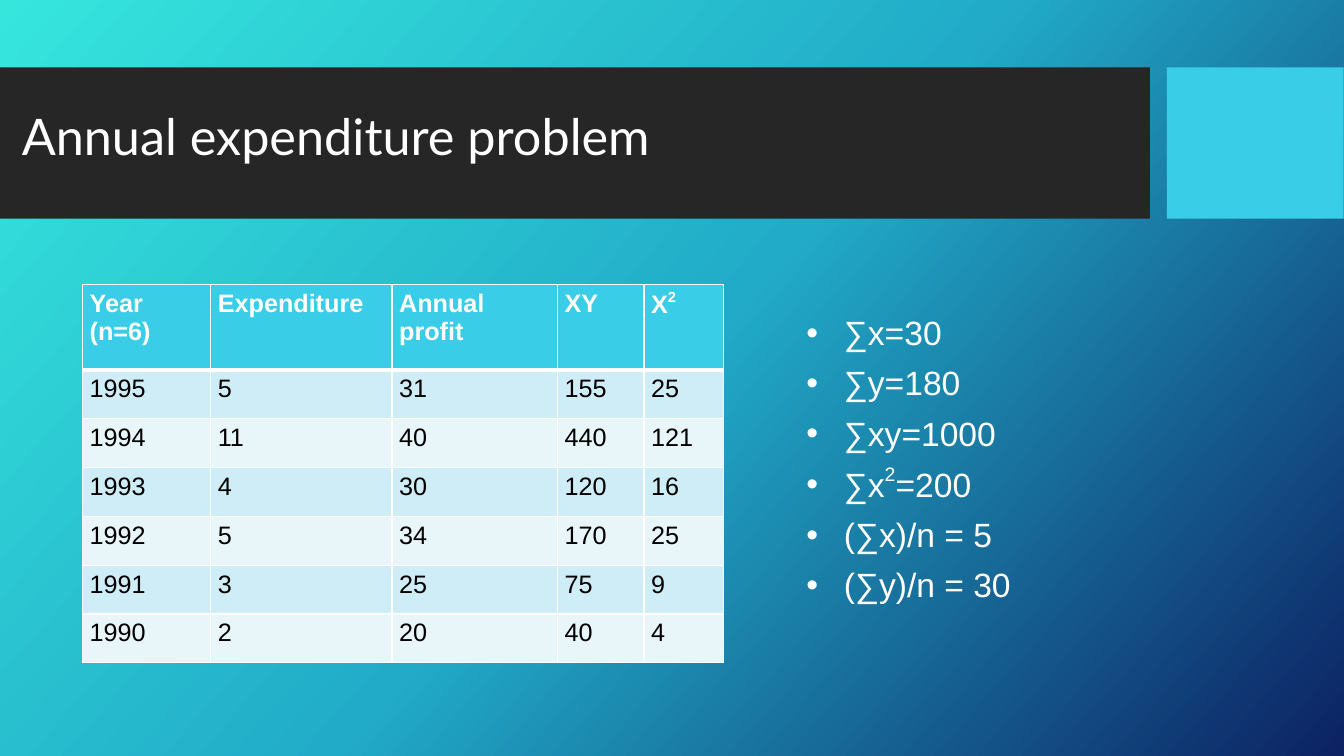
"""Build the annual expenditure problem slide."""
from lxml import etree
from pptx import Presentation
from pptx.dml.color import RGBColor
from pptx.enum.shapes import MSO_SHAPE
from pptx.enum.text import MSO_ANCHOR
from pptx.oxml import parse_xml
from pptx.oxml.ns import nsdecls, qn
from pptx.util import Cm, Pt

RECT = MSO_SHAPE.RECTANGLE
MIDDLE = MSO_ANCHOR.MIDDLE
TOP = MSO_ANCHOR.TOP

COLORS = {
    "white": "FFFFFF", "black": "000000", "bar": "262626", "accent": "39CDE7",
    "odd": "CEEDF6", "even": "E8F6FA",
}
GRADIENT = [(0, "36E6DD"), (50, "21ABC8"), (100, "0C2263")]

HEADER = ["Year\n(n=6)", "Expenditure", "Annual profit", "XY", "X^2"]
YEARS = [
    (1995, 5, 31, 155, 25),
    (1994, 11, 40, 440, 121),
    (1993, 4, 30, 120, 16),
    (1992, 5, 34, 170, 25),
    (1991, 3, 25, 75, 9),
    (1990, 2, 20, 40, 4),
]
SUMS = "∑x=30\n∑y=180\n∑xy=1000\n∑x^2^=200\n(∑x)/n = 5\n(∑y)/n = 30"


def write(tf, text, size=18, font="Arial", color="white", bold=False,
          line=None, gap=0, bullet=None):
    """Fill a text frame; newlines part paragraphs, carets enclose superscripts."""
    for i, row in enumerate(text.split("\n")):
        p = tf.add_paragraph() if i else tf.paragraphs[0]
        if bullet:
            pPr = p._p.get_or_add_pPr()
            pPr.set("marL", str(Cm(0.95)))
            pPr.set("indent", str(-Cm(0.95)))
            etree.SubElement(pPr, qn("a:buFont")).set("typeface", "Arial")
            etree.SubElement(pPr, qn("a:buChar")).set("char", bullet)
        if line:
            p.line_spacing = line
        if i and gap:
            p.space_before = Pt(gap)
        for j, part in enumerate(row.split("^")):
            r = p.add_run()
            r.text = part
            r.font.size = Pt(size)
            r.font.name = font
            r.font.bold = bold
            r.font.color.rgb = RGBColor.from_string(COLORS[color])
            if j % 2:
                r.font._element.set("baseline", "45000")


class Deck:
    """Hold the presentation, its style and the current slide."""

    def __init__(self):
        self.prs = Presentation()
        self.prs.slide_width, self.prs.slide_height = Cm(33.87), Cm(19.05)
        self.s = self.prs.slides.add_slide(self.prs.slide_layouts[6])

    def background(self, stops, angle):
        """Paint a linear gradient behind the slide."""
        gs = "".join(f'<a:gs pos="{pos * 1000}"><a:srgbClr val="{c}"/></a:gs>'
                     for pos, c in stops)
        bg = parse_xml(
            f'<p:bg {nsdecls("p", "a")}><p:bgPr><a:gradFill rotWithShape="1">'
            f'<a:gsLst>{gs}</a:gsLst><a:lin ang="{angle * 60000}" scaled="0"/>'
            '</a:gradFill><a:effectLst/></p:bgPr></p:bg>')
        self.s._element.cSld.insert(0, bg)

    def bar(self, x, y, w, h, color):
        """Add a plain rectangle."""
        sp = self.s.shapes.add_shape(RECT, Cm(x), Cm(y), Cm(w), Cm(h))
        sp.shadow.inherit = False
        sp.fill.solid()
        sp.fill.fore_color.rgb = RGBColor.from_string(COLORS[color])
        sp.line.fill.background()

    def text(self, x, y, w, h, text, anchor=TOP, **style):
        """Add a wrapping text box."""
        tf = self.s.shapes.add_textbox(Cm(x), Cm(y), Cm(w), Cm(h)).text_frame
        tf.word_wrap = True
        tf.vertical_anchor = anchor
        write(tf, text, **style)

    def border(self, cell, **widths):
        """Draw white cell borders with widths in points."""
        tcPr = cell._tc.get_or_add_tcPr()
        for side, width in widths.items():
            tcPr.append(parse_xml(
                f'<a:ln{side} {nsdecls("a")} w="{Pt(width)}"><a:solidFill>'
                f'<a:srgbClr val="{COLORS["white"]}"/></a:solidFill></a:ln{side}>'))

    def table(self, x, y, cols, heights, rows):
        """Add a banded table with a bold header row."""
        tbl = self.s.shapes.add_table(
            len(rows), len(cols), Cm(x), Cm(y),
            Cm(sum(cols)), Cm(sum(heights))).table
        for col, w in zip(tbl.columns, cols):
            col.width = Cm(w)
        for i, row in enumerate(rows):
            tbl.rows[i].height = Cm(heights[i])
            head = i == 0
            fill = "accent" if head else "odd" if i % 2 else "even"
            for j, value in enumerate(row):
                cell = tbl.cell(i, j)
                cell.margin_left = cell.margin_right = Cm(0.18)
                cell.margin_top = cell.margin_bottom = Cm(0.13)
                self.border(cell, L=1, R=1, T=3 if i == 1 else 1,
                            B=3 if head else 1)
                cell.fill.solid()
                cell.fill.fore_color.rgb = RGBColor.from_string(COLORS[fill])
                write(cell.text_frame, str(value), bold=head,
                      color="white" if head else "black")


def main():
    deck = Deck()
    deck.background(GRADIENT, 42)
    deck.bar(0, 1.7, 28.98, 3.81, "bar")
    deck.bar(29.41, 1.7, 4.45, 3.81, "accent")
    deck.text(0.3, 2, 22.1, 3, "Annual expenditure problem", anchor=MIDDLE,
              size=36, font="Lato", line=0.9)
    deck.table(2.08, 7.16, [3.23, 4.57, 4.17, 2.18, 2.01],
               [2.16] + [1.23] * len(YEARS), [HEADER] + YEARS)
    deck.text(20.07, 7.85, 11.48, 9.19, SUMS, size=24, line=0.9, gap=10,
              bullet="•")
    deck.prs.save("out.pptx")


if __name__ == "__main__":
    main()
